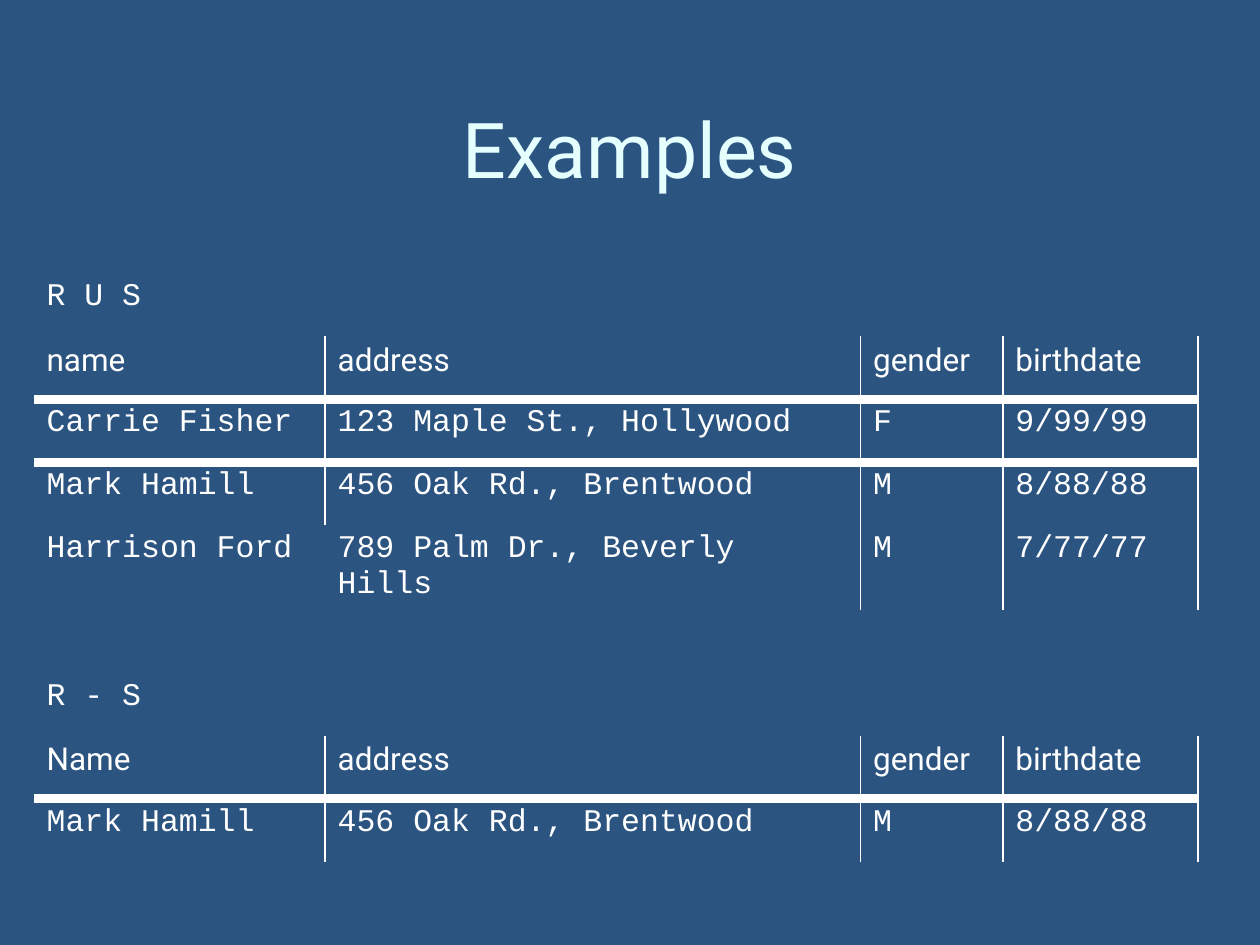
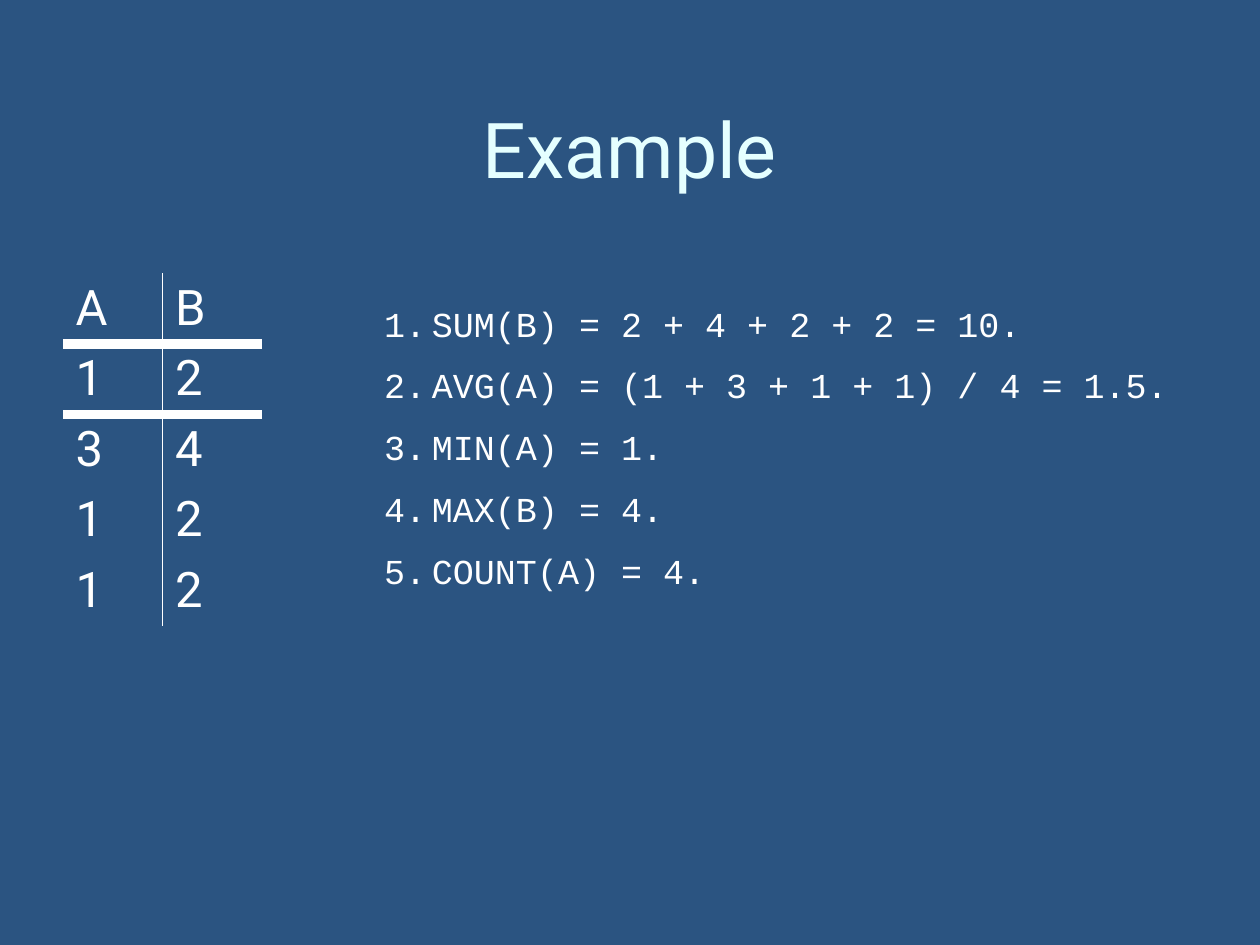
from lxml import etree
from pptx import Presentation
from pptx.dml.color import RGBColor
from pptx.enum import text
from pptx.oxml import ns
from pptx.util import Inches, Pt

NAVY = RGBColor(0x2B, 0x54, 0x81)
ICE = RGBColor(0xE5, 0xFF, 0xFF)
WHITE = RGBColor(0xFF, 0xFF, 0xFF)
SANS = "Roboto"
MONO = "Courier New"
PLAIN_TABLE = "{2D5ABB26-0587-4C30-8999-92F81FD0307C}"
THIN, THICK = 1, 6

CAPTION, HEAD, BODY, GAP = "caption", "head", "body", "gap"
RELATION_WIDTHS = [2.31, 2.31, 1.94, 0.37, 0.76, 1.55]
RELATION_STARTS = [0, 1, 3, 5]
SHIFTED_STARTS = [0, 1, 2, 4]
MARK = ["Mark Hamill", "456 Oak Rd., Brentwood", "M", "8/88/88"]
RELATION_ROWS = [
    (CAPTION, ["R U S"], RELATION_STARTS),
    (HEAD, ["name", "address", "gender", "birthdate"], RELATION_STARTS),
    (BODY, ["Carrie Fisher", "123 Maple St., Hollywood", "F", "9/99/99"], RELATION_STARTS),
    (BODY, MARK, RELATION_STARTS),
    (BODY, ["Harrison Ford", "789 Palm Dr., Beverly Hills", "M", "7/77/77"], RELATION_STARTS),
    (GAP, [], SHIFTED_STARTS),
    (CAPTION, ["R - S"], SHIFTED_STARTS),
    (HEAD, ["Name", "address", "gender", "birthdate"], RELATION_STARTS),
    (BODY, MARK, RELATION_STARTS),
]
FORD_ROW = 4
NUMBER_ROWS = [(HEAD, ["A", "B"], [0, 1])] + [
    (BODY, pair, [0, 1]) for pair in (["1", "2"], ["3", "4"], ["1", "2"], ["1", "2"])
]
AGGREGATES = [
    "SUM(B) = 2 + 4 + 2 + 2 = 10.",
    "AVG(A) = (1 + 3 + 1 + 1) / 4 = 1.5.",
    "MIN(A) = 1.",
    "MAX(B) = 4.",
    "COUNT(A) = 4.",
]


def add_number(p, indent):
    pPr = p._p.get_or_add_pPr()
    pPr.set("marL", str(Inches(indent)))
    pPr.set("indent", str(-Inches(indent)))
    etree.SubElement(pPr, ns.qn("a:buFont")).set("typeface", MONO)
    etree.SubElement(pPr, ns.qn("a:buAutoNum")).set("type", "arabicPeriod")


def write(tf, lines, size=18, font=MONO, color=WHITE, align=None,
          anchor=None, gap=0, number_indent=None):
    tf.word_wrap = True
    if anchor is not None:
        tf.vertical_anchor = anchor
    for i, line in enumerate(lines):
        p = tf.paragraphs[0] if i == 0 else tf.add_paragraph()
        p.alignment = align
        p.space_before = Pt(gap if i else 0)
        if number_indent:
            add_number(p, number_indent)
        r = p.add_run()
        r.text = line
        r.font.size = Pt(size)
        r.font.name = font
        r.font.color.rgb = color


def add_titled_slide(prs, title):
    s = prs.slides.add_slide(prs.slide_layouts[5])
    sp = s.shapes.title
    sp.left, sp.top, sp.width, sp.height = map(Inches, (0.5, 0.42, 9, 1.5))
    write(sp.text_frame, [title], size=44, font=SANS, color=ICE,
          align=text.PP_ALIGN.CENTER, anchor=text.MSO_ANCHOR.MIDDLE)
    return s


def set_borders(cell, edges):
    tcPr = cell._tc.get_or_add_tcPr()
    for side in "LRTB":
        if side in edges:
            ln = etree.SubElement(tcPr, ns.qn(f"a:ln{side}"), w=str(Pt(edges[side])))
            fill = etree.SubElement(ln, ns.qn("a:solidFill"))
            etree.SubElement(fill, ns.qn("a:srgbClr")).set("val", str(WHITE))


def find_edges(kind, after_head, i, last, open_first):
    if kind not in (HEAD, BODY):
        return {}
    edges = {}
    if i > 0 and not (open_first and i == 1):
        edges["L"] = THIN
    if i < last and not (open_first and i == 0):
        edges["R"] = THIN
    if after_head:
        edges["T"] = THICK
    if kind == HEAD:
        edges["B"] = THICK
    return edges


def add_relation(s, left, top, widths, row_height, rows, size, body_font, open_row=None):
    frame = s.shapes.add_table(len(rows), len(widths), Inches(left), Inches(top),
                               Inches(sum(widths)), Inches(row_height * len(rows)))
    table = frame.table
    table.first_row = table.horz_banding = False
    table._tbl.tblPr.find(ns.qn("a:tableStyleId")).text = PLAIN_TABLE
    for column, width in zip(table.columns, widths):
        column.width = Inches(width)
    previous = None
    for y, (kind, values, starts) in enumerate(rows):
        ends = starts[1:] + [len(widths)]
        for i, (start, end) in enumerate(zip(starts, ends)):
            cell = table.cell(y, start)
            if end - start > 1:
                cell.merge(table.cell(y, end - 1))
            set_borders(cell, find_edges(kind, previous == HEAD, i,
                                         len(starts) - 1, y == open_row))
            if i < len(values):
                write(cell.text_frame, [values[i]], size=size,
                      font=SANS if kind == HEAD else body_font)
        for x in range(len(widths)):
            table.cell(y, x).fill.background()
        previous = kind


def add_numbered_list(s, left, top, width, height, lines):
    tf = s.shapes.add_textbox(*map(Inches, (left, top, width, height))).text_frame
    write(tf, lines, size=20, anchor=text.MSO_ANCHOR.MIDDLE, gap=11.3, number_indent=0.38)


def main():
    prs = Presentation()
    prs.slide_width, prs.slide_height = Inches(10), Inches(7.5)
    fill = prs.slide_master.background.fill
    fill.solid()
    fill.fore_color.rgb = NAVY

    s = add_titled_slide(prs, "Examples")
    add_relation(s, 0.27, 2.17, RELATION_WIDTHS, 0.5, RELATION_ROWS, 18, MONO, FORD_ROW)

    s = add_titled_slide(prs, "Example")
    add_relation(s, 0.5, 2.17, [0.79, 0.79], 0.56, NUMBER_ROWS, 28, SANS)
    add_numbered_list(s, 2.95, 2.33, 6.53, 2.43, AGGREGATES)

    prs.save("out.pptx")


if __name__ == "__main__":
    main()
